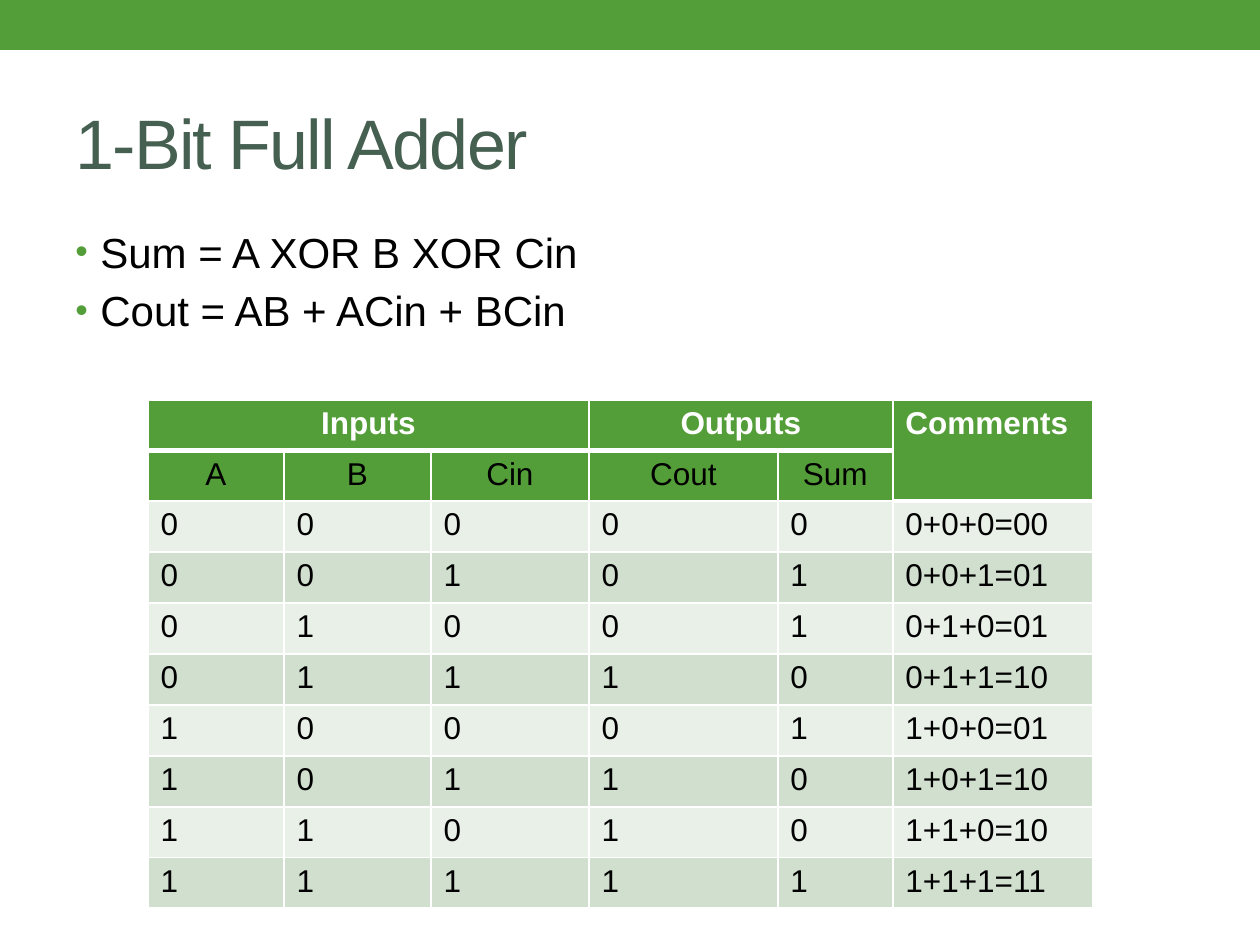
from itertools import product

from lxml.etree import SubElement
from pptx import Presentation
from pptx.dml.color import RGBColor
from pptx.enum.shapes import MSO_SHAPE as SHAPE
from pptx.enum.text import MSO_ANCHOR as ANCHOR, PP_ALIGN as ALIGN
from pptx.oxml.ns import qn
from pptx.util import Emu, Pt

PX = 914400 // 126
GREEN = RGBColor(0x54, 0x9E, 0x39)
SLATE = RGBColor(0x45, 0x5F, 0x51)
BLACK = RGBColor(0x00, 0x00, 0x00)
WHITE = RGBColor(0xFF, 0xFF, 0xFF)
BANDS = (RGBColor(0xE9, 0xF0, 0xE8), RGBColor(0xD1, 0xDF, 0xCE))
COLUMNS = (136, 147, 158, 189, 115, 200)
ROWS = (47, 47) + (51,) * 6 + (47, 47)
HEADERS = [
    ("Inputs", "", "", "Outputs", "", "Comments"),
    ("A", "B", "Cin", "Cout", "Sum", ""),
]
FORMULAS = ("Sum = A XOR B XOR Cin", "Cout = AB + ACin + BCin")


def px(*lengths):
    return [Emu(n * PX) for n in lengths]


def write(p, text, size=18, color=BLACK, bold=False, align=ALIGN.LEFT, spacing=None):
    p.alignment = align
    r = p.add_run()
    r.text = text
    font = r.font
    font.name, font.size, font.bold = "Arial", Pt(size), bold
    font.color.rgb = color
    if spacing is not None:
        r._r.get_or_add_rPr().set("spc", str(spacing))


def add_band(s):
    sp = s.shapes.add_shape(SHAPE.RECTANGLE, *px(0, 0, 1260, 50))
    sp.shadow.inherit = False
    sp.fill.solid()
    sp.fill.fore_color.rgb = GREEN
    sp.line.fill.background()


def add_title(s, text):
    title = s.shapes.title
    title.left, title.top, title.width, title.height = px(63, 73, 1134, 136)
    tf = title.text_frame
    tf.vertical_anchor = ANCHOR.MIDDLE
    write(tf.paragraphs[0], text, size=40, color=SLATE, spacing=-100)


def set_bullet(p):
    pPr = p._p.get_or_add_pPr()
    indent = 25 * PX
    pPr.set("marL", str(indent))
    pPr.set("indent", str(-indent))
    before = SubElement(pPr, qn("a:spcBef"))
    SubElement(before, qn("a:spcPct"), val="20000")
    color = SubElement(pPr, qn("a:buClr"))
    SubElement(color, qn("a:srgbClr"), val=str(GREEN))
    SubElement(pPr, qn("a:buSzPct"), val="85000")
    SubElement(pPr, qn("a:buFont"), typeface="Arial")
    SubElement(pPr, qn("a:buChar"), char="•")


def add_bullets(s, lines):
    tf = s.shapes.add_textbox(*px(63, 220, 1134, 672)).text_frame
    tf.word_wrap = True
    for i, line in enumerate(lines):
        p = tf.add_paragraph() if i else tf.paragraphs[0]
        set_bullet(p)
        write(p, line, size=24)


def set_borders(cell, top, bottom):
    tcPr = cell._tc.get_or_add_tcPr()
    for side, width in (("L", 1), ("R", 1), ("T", top), ("B", bottom)):
        ln = SubElement(tcPr, qn(f"a:ln{side}"), w=str(Pt(width)))
        fill = SubElement(ln, qn("a:solidFill"))
        SubElement(fill, qn("a:srgbClr"), val=str(WHITE))


def adder_row(a, b, cin):
    cout, total = divmod(a + b + cin, 2)
    return a, b, cin, cout, total, f"{a}+{b}+{cin}={cout}{total}"


def add_truth_table(s):
    rows = HEADERS + [adder_row(*bits) for bits in product((0, 1), repeat=3)]
    frame = s.shapes.add_table(
        len(ROWS), len(COLUMNS), *px(148, 400, sum(COLUMNS), sum(ROWS)))
    table = frame.table
    for column, width in zip(table.columns, px(*COLUMNS)):
        column.width = width
    for row, height in zip(table.rows, px(*ROWS)):
        row.height = height
    for i, row in enumerate(rows):
        for j, value in enumerate(row):
            cell = table.cell(i, j)
            header_end = 1 if j == 5 else 0
            set_borders(cell, top=3 if i == header_end + 1 else 1,
                        bottom=3 if i == header_end or (i, j) == (0, 5) else 1)
            cell.fill.solid()
            cell.fill.fore_color.rgb = GREEN if i < 2 else BANDS[i % 2]
            if value != "":
                write(cell.text_frame.paragraphs[0], str(value), bold=i == 0,
                      color=WHITE if i == 0 else BLACK,
                      align=ALIGN.CENTER if i < 2 and j < 5 else ALIGN.LEFT)
    for first, last in (((0, 0), (0, 2)), ((0, 3), (0, 4)), ((0, 5), (1, 5))):
        table.cell(*first).merge(table.cell(*last))


def main():
    """Build the full adder slide."""
    prs = Presentation()
    prs.slide_width, prs.slide_height = px(1260, 945)
    s = prs.slides.add_slide(prs.slide_layouts[5])
    add_band(s)
    add_title(s, "1-Bit Full Adder")
    add_bullets(s, FORMULAS)
    add_truth_table(s)
    prs.save("out.pptx")


if __name__ == "__main__":
    main()
